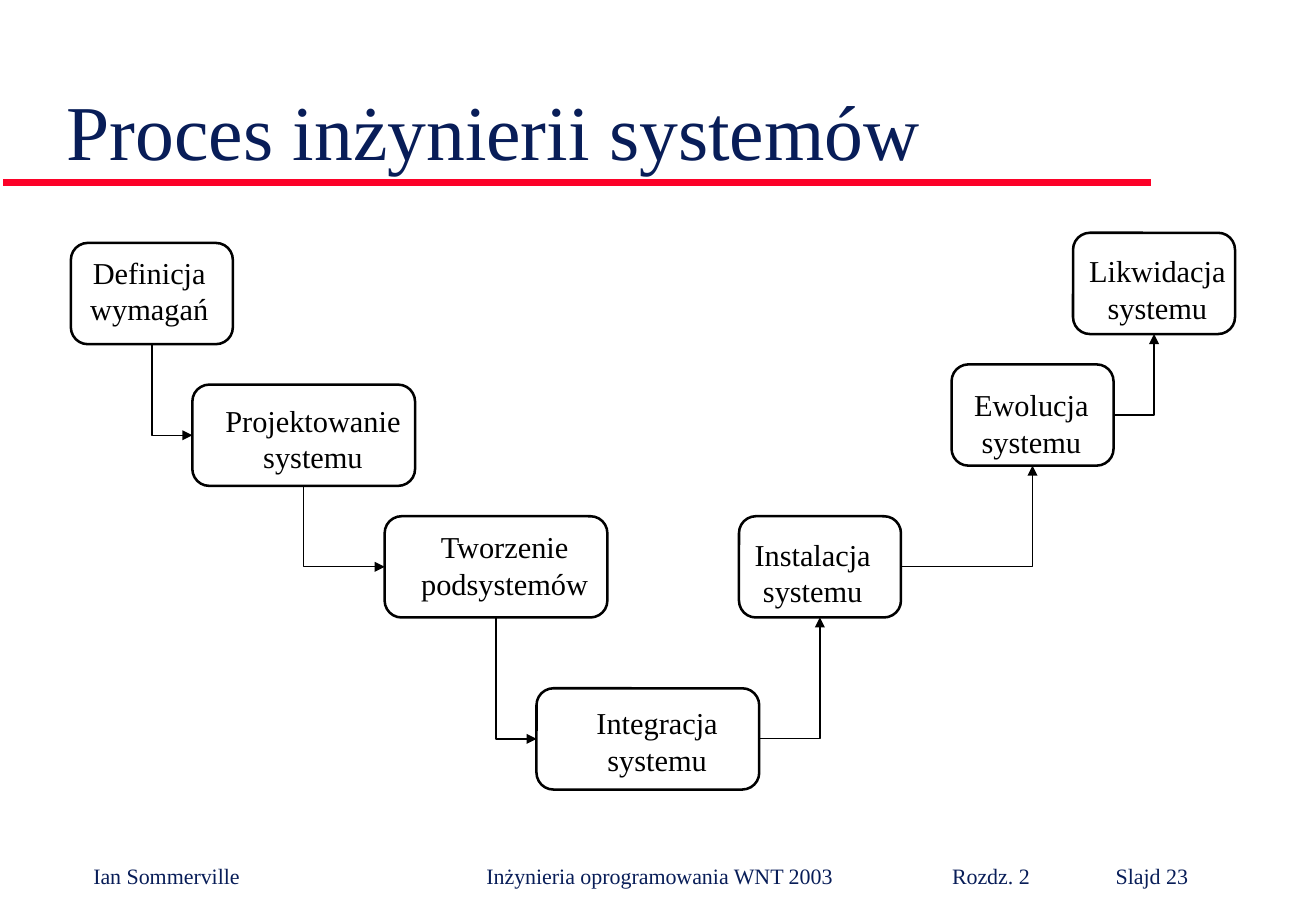
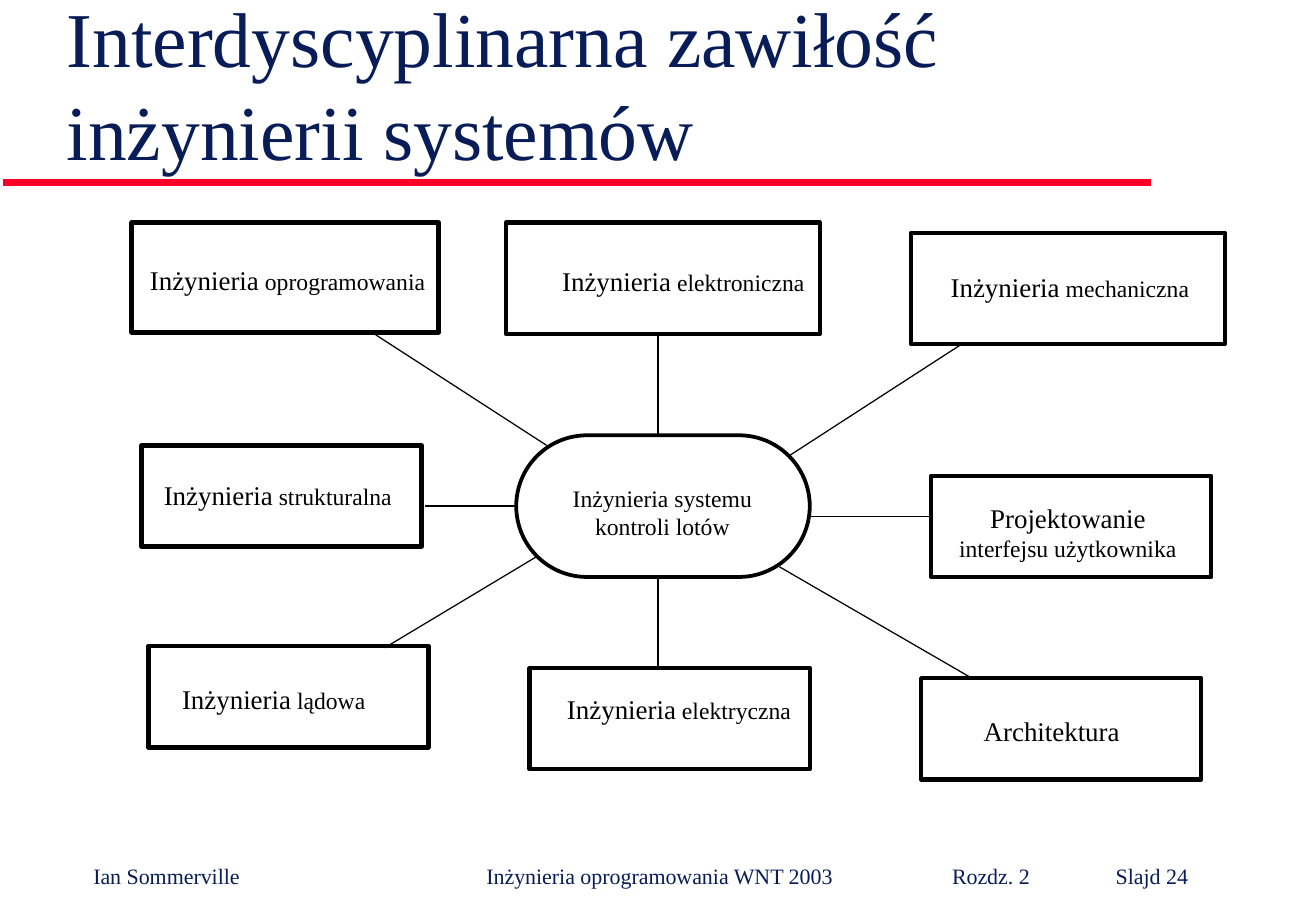
from itertools import pairwise

from lxml.etree import SubElement
from pptx import Presentation
from pptx.dml.color import RGBColor
from pptx.enum.shapes import MSO_CONNECTOR as Connector, MSO_SHAPE as Preset
from pptx.enum.text import MSO_ANCHOR as Anchor, PP_ALIGN as Align
from pptx.oxml.ns import qn
from pptx.util import Pt

COLORS = {"navy": "081D58", "red": "FC0128", "black": "000000"}
FONT = "Times New Roman"
TITLE = {"size": 46, "color": "navy"}
FOOTER = {"size": 13, "color": "navy"}
FOOTER_STOPS = (233, 509, 606)
STAGE_HEIGHT = 60

# Stages of the process: left, top, width, label text, label left, top, width
STAGES = [
    (42, 144, 96, "Definicja\nwymagań", 44, 147, 89),
    (114, 228, 132, "Projektowanie systemu", 96, 234.7, 179),
    (228, 306, 132, "Tworzenie podsystemów", 214.6, 309.6, 169),
    (318, 408, 132, "Integracja systemu", 318.2, 414, 142.6),
    (438, 306, 96, "Instalacja\nsystemu", 436.7, 314, 90),
    (564, 216, 96, "Ewolucja\nsystemu", 514.8, 225.4, 193),
    (636, 138, 96, "Likwidacja\nsystemu", 634, 146, 104),
]

# Disciplines: box, large word, smaller rest, label left, top, width, alignment
DISCIPLINES = [
    ((78, 132, 182, 65), "Inżynieria", " oprogramowania", 23, 152.6, 295, Align.CENTER),
    ((300, 132, 186, 66), "Inżynieria", " elektroniczna", 293.8, 153.4, 222.5, Align.CENTER),
    ((540, 138, 186, 66), "Inżynieria", " mechaniczna", 516.2, 157, 236, Align.CENTER),
    ((84, 264, 166, 60), "Inżynieria", " strukturalna", 90, 280, 155, Align.LEFT),
    ((552, 282, 166, 60), "Projektowanie", " interfejsu użytkownika", 558, 293.8, 150, Align.CENTER),
    ((88, 383, 166, 60), "Inżynieria", " lądowa", 100.8, 401, 129, Align.LEFT),
    ((314, 396, 166, 60), "Inżynieria", " elektryczna", 329, 406.8, 153, Align.LEFT),
    ((546, 402, 166, 60), "Architektura", "", 576, 419.8, 114, Align.LEFT),
]

# Lines between the central system and the disciplines
LINKS = [
    (390, 198, 390, 258), (390, 342, 390, 396),
    (252, 300, 306, 300), (480, 306, 552, 306),
    (222, 198, 324, 264), (228, 384, 318, 330),
    (570, 204, 468, 270), (576, 402, 462, 336),
]


def color(name):
    return RGBColor.from_string(COLORS[name])


def add_run(paragraph, text, style):
    run = paragraph.add_run()
    run.text = text
    values = {"name": FONT, "size": Pt(style["size"])}
    for name, value in values.items():
        setattr(run.font, name, value)
    run.font.color.rgb = color(style["color"])


def add_text(slide, bounds, paragraphs, align=Align.LEFT, anchor=Anchor.TOP):
    """Each paragraph is a list of (text, style) runs."""
    frame = slide.shapes.add_textbox(*map(Pt, bounds)).text_frame
    values = {
        "word_wrap": True, "vertical_anchor": anchor,
        "margin_left": Pt(7.2), "margin_right": Pt(7.2),
        "margin_top": Pt(3.6), "margin_bottom": Pt(3.6),
    }
    for name, value in values.items():
        setattr(frame, name, value)
    for index, runs in enumerate(paragraphs):
        paragraph = frame.add_paragraph() if index else frame.paragraphs[0]
        paragraph.alignment = align
        for text, style in runs:
            add_run(paragraph, text, style)
    return frame


def label(size):
    return {"size": size, "color": "black"}


def add_box(slide, preset, bounds, weight, rounding=None):
    shape = slide.shapes.add_shape(preset, *map(Pt, bounds))
    shape.shadow.inherit = False
    shape.fill.background()
    shape.line.color.rgb = color("black")
    shape.line.width = Pt(weight)
    if rounding is not None:
        shape.adjustments[0] = rounding


def add_line(slide, ends, weight=0.75, line_color="black", kind=Connector.STRAIGHT):
    connector = slide.shapes.add_connector(kind, *map(Pt, ends))
    connector.line.color.rgb = color(line_color)
    connector.line.width = Pt(weight)
    SubElement(connector._element.spPr, qn("a:effectLst"))
    return connector


def add_bent_arrow(slide, start, end):
    """Goes down then right, or right then up."""
    (x1, y1), (x2, y2) = start, end
    goes_down = y2 > y1
    ends = (x1, y1, x2, y2)
    if goes_down:
        # The frame of a quarter-turned connector has width and height swapped
        middle_x, middle_y = (x1 + x2) / 2, (y1 + y2) / 2
        half_x, half_y = (x2 - x1) / 2, (y2 - y1) / 2
        ends = (middle_x + half_y, middle_y - half_x,
                middle_x - half_y, middle_y + half_x)
    connector = add_line(slide, ends, kind=Connector.ELBOW)
    properties = connector._element.spPr
    properties.find(qn("a:prstGeom")).set("prst", "bentConnector2")
    if goes_down:
        properties.find(qn("a:xfrm")).set("rot", str(270 * 60000))
    SubElement(properties.find(qn("a:ln")), qn("a:tailEnd"), type="triangle")


def add_base_slide(presentation, title, number):
    slide = presentation.slides.add_slide(presentation.slide_layouts[6])
    add_line(slide, (2, 108, 682.5, 108), 4, "red")
    # Footer with its columns on tab stops
    footer = "\t".join(("Ian Sommerville", "Inżynieria oprogramowania WNT 2003",
                        "Rozdz. 2", f"Slajd {number}"))
    frame = add_text(slide, (48.2, 507.6, 680, 23), [[(footer, FOOTER)]])
    properties = frame.paragraphs[0]._p.get_or_add_pPr()
    stops = SubElement(properties, qn("a:tabLst"))
    for stop in FOOTER_STOPS:
        SubElement(stops, qn("a:tab"), pos=str(Pt(stop)), algn="l")
    add_text(slide, (32.4, 20.9, 666, 87), [[(title, TITLE)]], anchor=Anchor.BOTTOM)
    return slide


def build_process(presentation):
    slide = add_base_slide(presentation, "Proces inżynierii systemów", 23)
    for left, top, width, text, label_left, label_top, label_width in STAGES:
        add_box(slide, Preset.ROUNDED_RECTANGLE,
                (left, top, width, STAGE_HEIGHT), 1.5, 0.167)
        add_text(slide, (label_left, label_top, label_width, 50.4),
                 [[(line, label(18))] for line in text.split("\n")], Align.CENTER)
    # Each arrow joins a stage to the next one
    for (left, top, width, *_), (next_left, next_top, next_width, *_) in pairwise(STAGES):
        if next_top > top:
            start = (left + width / 2, top + STAGE_HEIGHT)
            end = (next_left, next_top + STAGE_HEIGHT / 2)
        else:
            start = (left + width, top + STAGE_HEIGHT / 2)
            end = (next_left + next_width / 2, next_top + STAGE_HEIGHT)
        add_bent_arrow(slide, start, end)


def build_disciplines(presentation):
    slide = add_base_slide(
        presentation, "Interdyscyplinarna zawiłość inżynierii systemów", 24)
    for bounds, word, rest, left, top, width, align in DISCIPLINES:
        add_box(slide, Preset.RECTANGLE, bounds, 2.63)
        runs = [(word, label(16))]
        if rest:
            runs.append((rest, label(14)))
        add_text(slide, (left, top, width, 26.6), [runs], align)
    # Central system
    add_box(slide, Preset.ROUNDED_RECTANGLE, (306, 258, 174, 84), 2.25, 0.5)
    add_text(slide, (329, 283, 127.4, 41),
             [[("Inżynieria systemu kontroli lotów", label(14))]], Align.CENTER)
    for ends in LINKS:
        add_line(slide, ends)


def main():
    presentation = Presentation()
    presentation.slide_width = Pt(780)
    presentation.slide_height = Pt(540)
    build_process(presentation)
    build_disciplines(presentation)
    presentation.save("out.pptx")


main()
